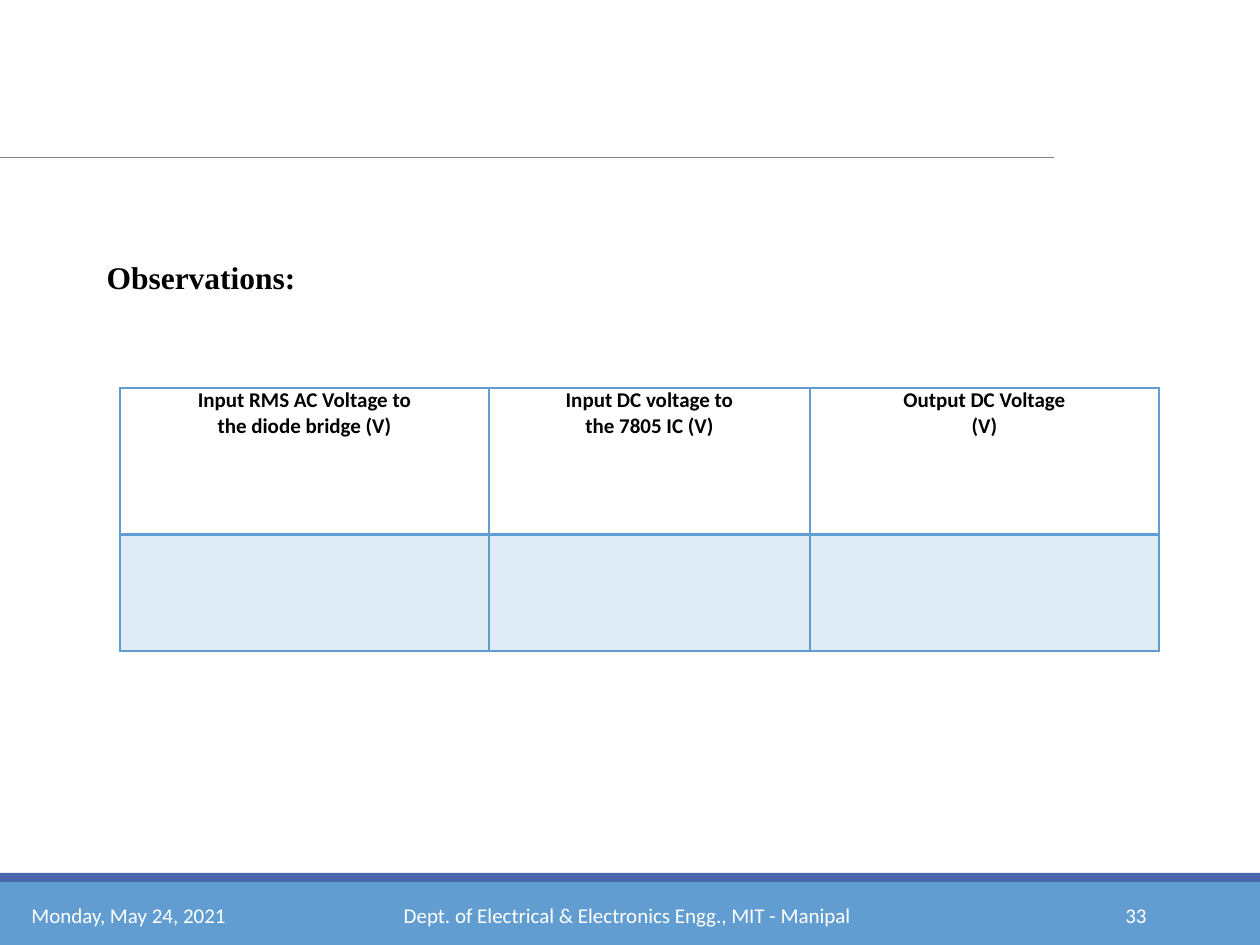
import lxml.etree
import pptx
import pptx.dml.color
import pptx.enum.shapes
import pptx.enum.text
import pptx.oxml.ns
import pptx.util

SCALE = 914400 // 126
ALIGN = pptx.enum.text.PP_ALIGN
ANCHOR = pptx.enum.text.MSO_ANCHOR
BLUE = "629DD1"
HEADERS = [
    ["Input RMS AC Voltage to", "the diode bridge (V)"],
    ["Input DC voltage to", "the 7805 IC (V)"],
    ["Output DC Voltage", "(V)"],
]


def px(length):
    return pptx.util.Emu(length * SCALE)


def colour(code):
    return pptx.dml.color.RGBColor.from_string(code)


def child(parent, tag, **attributes):
    return lxml.etree.SubElement(parent, pptx.oxml.ns.qn(tag), attributes)


def write(frame, lines, size, code, align, font="Calibri", bold=False):
    frame.text = "\n".join(lines)
    for paragraph in frame.paragraphs:
        paragraph.alignment = align
        paragraph.font.name = font
        paragraph.font.size = pptx.util.Pt(size)
        paragraph.font.bold = bold
        paragraph.font.color.rgb = colour(code)


def add_band(slide, top, height, code):
    band = slide.shapes.add_shape(
        pptx.enum.shapes.MSO_SHAPE.RECTANGLE, 0, px(top), px(1260), px(height))
    band.shadow.inherit = False
    band.fill.solid()
    band.fill.fore_color.rgb = colour(code)
    band.line.fill.background()


def add_rule(slide, top, width):
    rule = slide.shapes.add_connector(
        pptx.enum.shapes.MSO_CONNECTOR.STRAIGHT, 0, px(top), px(width), px(top))
    rule.line.color.rgb = colour("808080")
    rule.line.width = pptx.util.Pt(0.5)
    child(rule._element.spPr, "a:effectLst")


def add_heading(slide, text):
    heading = slide.shapes.title
    heading.left, heading.top, heading.width, heading.height = map(px, (94, 252, 217, 51))
    frame = heading.text_frame
    frame.word_wrap = False
    frame.auto_size = pptx.enum.text.MSO_AUTO_SIZE.NONE
    frame.vertical_anchor = ANCHOR.TOP
    write(frame, [text], 18, "000000", ALIGN.LEFT, "Times New Roman", True)


def add_footer(slide, left, width, text, align):
    footer = slide.shapes.add_textbox(px(left), px(890), px(width), px(50))
    footer.text_frame.word_wrap = True
    footer.text_frame.vertical_anchor = ANCHOR.MIDDLE
    write(footer.text_frame, [text], 12, "FFFFFF", align)


def set_borders(cell, bottom_points):
    for side, points in (("L", 1), ("R", 1), ("T", 1), ("B", bottom_points)):
        border = child(cell._tc.get_or_add_tcPr(), f"a:ln{side}",
                       w=str(pptx.util.Pt(points)))
        child(child(border, "a:solidFill"), "a:srgbClr", val=BLUE)


def tint(cell, code, percent):
    cell.fill.solid()
    cell.fill.fore_color.rgb = colour(code)
    swatch = cell._tc.tcPr.find(pptx.oxml.ns.qn("a:solidFill"))[0]
    child(swatch, "a:alpha", val=str(percent * 1000))


def add_observations(slide):
    widths, heights = (369, 321, 349), (147, 116)
    observations = slide.shapes.add_table(
        len(heights), len(widths), px(120), px(388),
        px(sum(widths)), px(sum(heights))).table
    observations.first_row = False
    observations.horz_banding = False
    for row, height in zip(observations.rows, heights):
        row.height = px(height)
    for index, (width, lines) in enumerate(zip(widths, HEADERS)):
        observations.columns[index].width = px(width)
        header, reading = observations.cell(0, index), observations.cell(1, index)
        header.margin_left = header.margin_right = px(9)
        header.margin_top = header.margin_bottom = 0
        write(header.text_frame, lines, 12, "000000", ALIGN.CENTER, bold=True)
        set_borders(header, 2)
        header.fill.background()
        set_borders(reading, 1)
        tint(reading, BLUE, 20)


def main():
    deck = pptx.Presentation()
    deck.slide_width, deck.slide_height = px(1260), px(945)
    slide = deck.slides.add_slide(deck.slide_layouts[5])
    add_band(slide, 882, 63, BLUE)
    add_band(slide, 873, 9, "4A66AC")
    add_rule(slide, 157, 1054)
    add_heading(slide, "Observations:")
    add_observations(slide)
    add_footer(slide, 19, 256, "Monday, May 24, 2021", ALIGN.LEFT)
    add_footer(slide, 340, 575,
               "Dept. of Electrical & Electronics Engg., MIT - Manipal", ALIGN.CENTER)
    add_footer(slide, 1023, 136, "33", ALIGN.RIGHT)
    deck.save("out.pptx")


if __name__ == "__main__":
    main()
